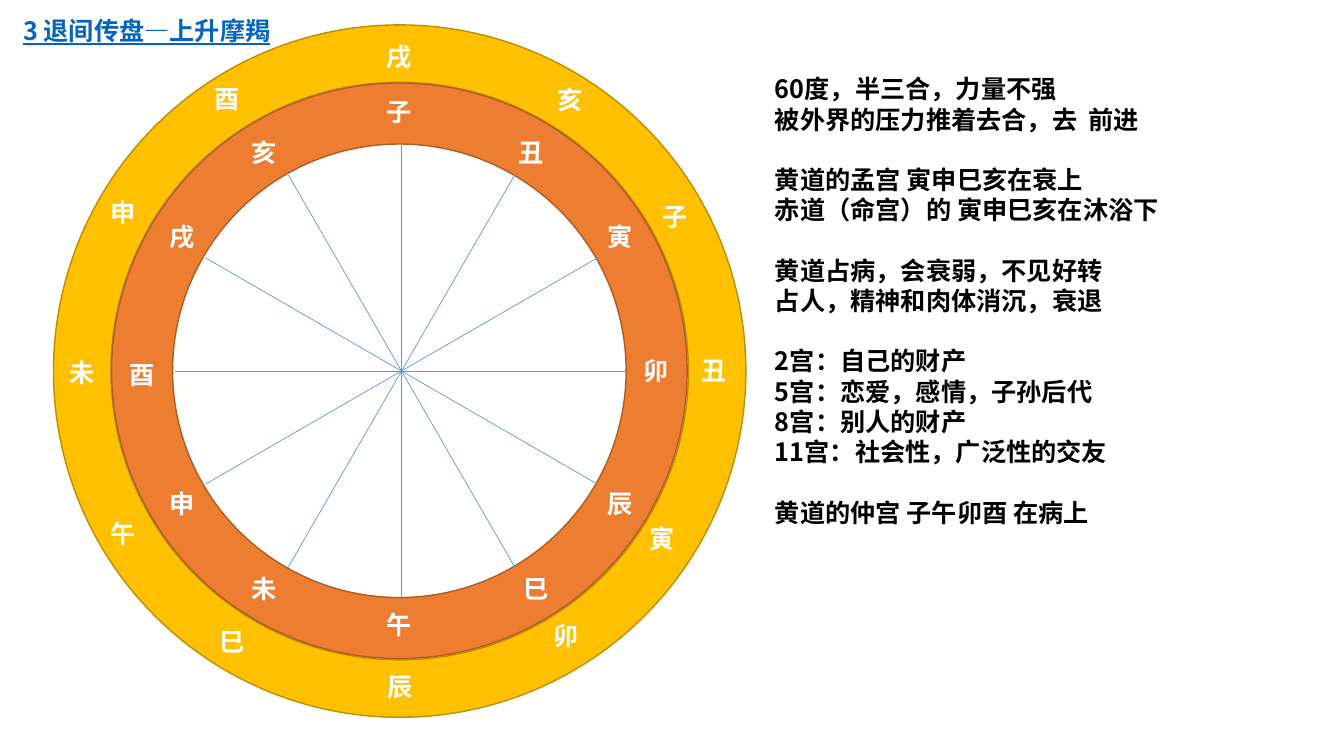
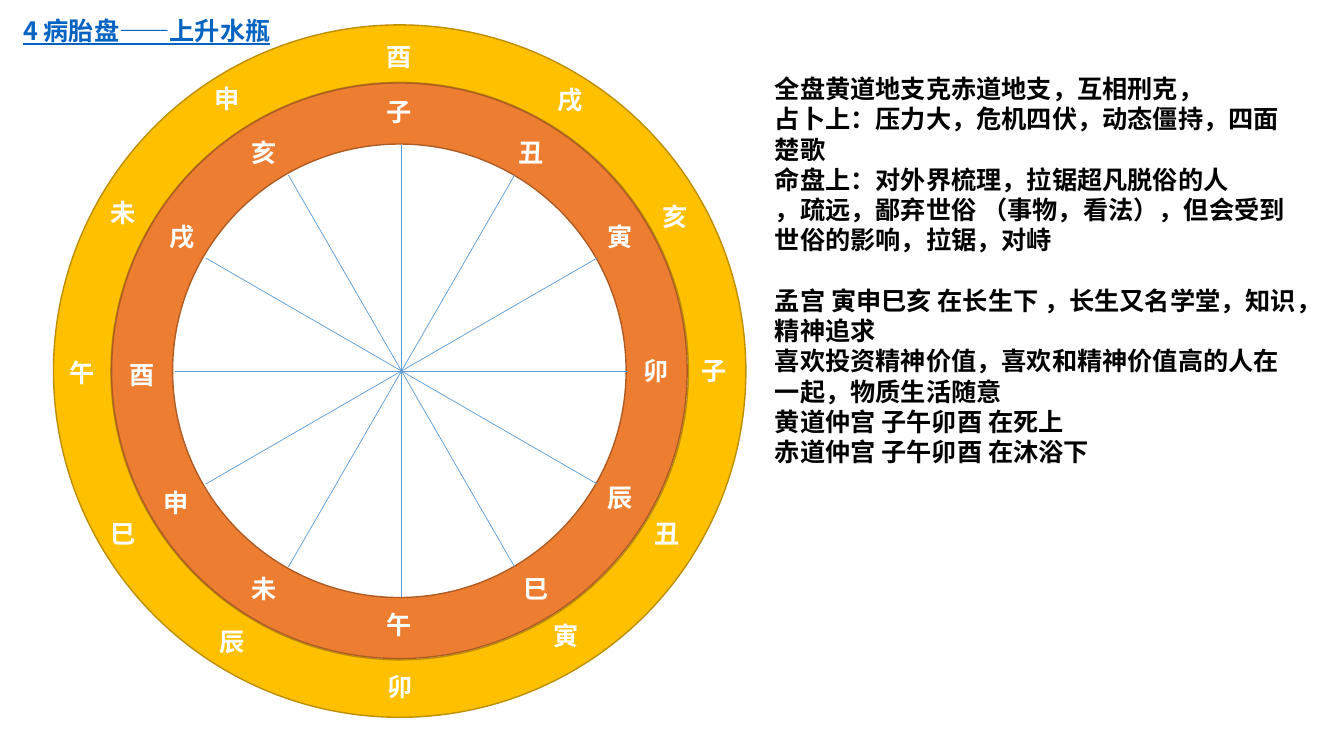
"""Build two slides that pair a twelve-branch wheel with its reading."""
import math

from lxml import etree
from pptx import Presentation
from pptx.dml.color import RGBColor
from pptx.enum import lang, shapes, text
from pptx.oxml.ns import qn
from pptx.util import Pt

FONT = "Noto Sans CJK SC"
WHITE = RGBColor(0xFF, 0xFF, 0xFF)
BLACK = RGBColor(0x00, 0x00, 0x00)
TITLE_BLUE = RGBColor(0x05, 0x63, 0xC1)
SPOKE_BLUE = RGBColor(0x5B, 0x9B, 0xD5)
GOLD = RGBColor(0xFF, 0xC0, 0x00)
GOLD_EDGE = RGBColor(0xBD, 0x8E, 0x00)
ORANGE = RGBColor(0xED, 0x7D, 0x31)
ORANGE_EDGE = RGBColor(0xAF, 0x5C, 0x24)

LINE_HEIGHT = 21.6
LABEL_WIDTH, LABEL_HEIGHT = 32.4, 28.8
HUB_X, HUB_Y, SPOKE_RADIUS = 286.8, 265, 161.6
BRANCHES = "子丑寅卯辰巳午未申酉戌亥"

RINGS = [
    (38.2, 17.8, 494.6, 0.083, GOLD, GOLD_EDGE),
    (79.7, 59.3, 411.1, 0.106, ORANGE, ORANGE_EDGE),
]
INNER_SPOTS = [
    (269.3, 65.5), (363.6, 94.3), (427, 154.8), (452.2, 250.6),
    (427, 345.6), (367.2, 406.1), (269.3, 432), (172.8, 406.1),
    (113.8, 345.6), (85.7, 253.4), (113.8, 154.8), (172.8, 94.3),
]
OUTER_SPOTS = [
    (269.3, 25.9), (391, 56.9), (465.8, 140.4), (493.9, 250.6),
    (457.2, 370.1), (388.1, 439.9), (270, 475.9), (149.8, 443.5),
    (72, 366.5), (42.5, 252), (72, 137.5), (146.2, 56.2),
]

CHARTS = [
    {
        "title": "3 退间传盘—上升摩羯",
        "outer_start": "戌",
        "inner_moves": {},
        "outer_moves": {},
        "notes_height": 334,
        "notes": [
            ["60度，半三合，力量不强", "被外界的压力推着去合，去  前进"],
            ["黄道的孟宫 寅申巳亥在衰上", "赤道（命宫）的 寅申巳亥在沐浴下"],
            ["黄道占病，会衰弱，不见好转", "占人，精神和肉体消沉，衰退"],
            ["2宫：自己的财产", "5宫：恋爱，感情，子孙后代",
             "8宫：别人的财产", "11宫：社会性，广泛性的交友"],
            ["黄道的仲宫 子午卯酉 在病上"],
        ],
    },
    {
        "title": "4 病胎盘——上升水瓶",
        "outer_start": "酉",
        "inner_moves": {4: (427, 341.3), 8: (109.4, 344.9)},
        "outer_moves": {4: (460.1, 366.5)},
        "notes_height": 291,
        "notes": [
            ["全盘黄道地支克赤道地支，互相刑克，",
             "占卜上：压力大，危机四伏，动态僵持，四面楚歌",
             "命盘上：对外界梳理，拉锯超凡脱俗的人",
             "，疏远，鄙弃世俗 （事物，看法），但会受到世俗的影响，拉锯，对峙"],
            ["孟宫 寅申巳亥 在长生下 ，长生又名学堂，知识，精神追求",
             "喜欢投资精神价值，喜欢和精神价值高的人在一起，物质生活随意",
             "黄道仲宫 子午卯酉 在死上",
             "赤道仲宫 子午卯酉 在沐浴下"],
        ],
    },
]


def style_paragraph(para, words, color, underline=None):
    para.text = words
    para.line_spacing = Pt(LINE_HEIGHT)
    font = para.font
    font.size, font.bold, font.underline = Pt(18), True, underline
    font.color.rgb = color
    font.name = FONT
    font.language_id = lang.MSO_LANGUAGE_ID.SIMPLIFIED_CHINESE
    defaults = para._p.pPr.find(qn("a:defRPr"))
    etree.SubElement(defaults, qn("a:ea"), typeface=FONT)


def add_text(page, left, top, width, height, groups, color, wrap=False, underline=None):
    box = page.shapes.add_textbox(Pt(left), Pt(top), Pt(width), Pt(height))
    frame = box.text_frame
    frame.word_wrap = wrap
    frame.auto_size = text.MSO_AUTO_SIZE.SHAPE_TO_FIT_TEXT
    para = None
    for group in groups:
        for position, words in enumerate(group):
            starts_later_group = para is not None and position == 0
            para = frame.paragraphs[0] if para is None else frame.add_paragraph()
            style_paragraph(para, words, color, underline)
            if starts_later_group:
                para.space_before = Pt(LINE_HEIGHT)


deck = Presentation()
deck.slide_width, deck.slide_height = Pt(960), Pt(540)

for chart in CHARTS:
    page = deck.slides.add_slide(deck.slide_layouts[6])

    for left, top, size, thickness, fill, edge in RINGS:
        ring = page.shapes.add_shape(
            shapes.MSO_SHAPE.DONUT, Pt(left), Pt(top), Pt(size), Pt(size))
        ring.adjustments[0] = thickness
        ring.shadow.inherit = False
        ring.fill.solid()
        ring.fill.fore_color.rgb = fill
        ring.line.color.rgb = edge
        ring.line.width = Pt(1)

    for step in range(6):
        angle = math.radians(30 * step)
        across, down = SPOKE_RADIUS * math.sin(angle), SPOKE_RADIUS * math.cos(angle)
        spoke = page.shapes.add_connector(
            shapes.MSO_CONNECTOR.STRAIGHT,
            Pt(HUB_X + across), Pt(HUB_Y - down), Pt(HUB_X - across), Pt(HUB_Y + down))
        spoke.line.color.rgb = SPOKE_BLUE
        spoke.line.width = Pt(0.5)
        etree.SubElement(spoke._element.spPr, qn("a:effectLst"))

    start = BRANCHES.index(chart["outer_start"])
    outer_branches = BRANCHES[start:] + BRANCHES[:start]
    for branches, spots, moves in [
        (BRANCHES, INNER_SPOTS, chart["inner_moves"]),
        (outer_branches, OUTER_SPOTS, chart["outer_moves"]),
    ]:
        for index, branch in enumerate(branches):
            left, top = moves.get(index, spots[index])
            add_text(page, left, top, LABEL_WIDTH, LABEL_HEIGHT, [[branch]], WHITE)

    add_text(page, 9.4, 7.2, 198, LABEL_HEIGHT, [[chart["title"]]], TITLE_BLUE, underline=True)
    add_text(page, 546.5, 49, 391.7, chart["notes_height"], chart["notes"], BLACK, wrap=True)

deck.save("out.pptx")
